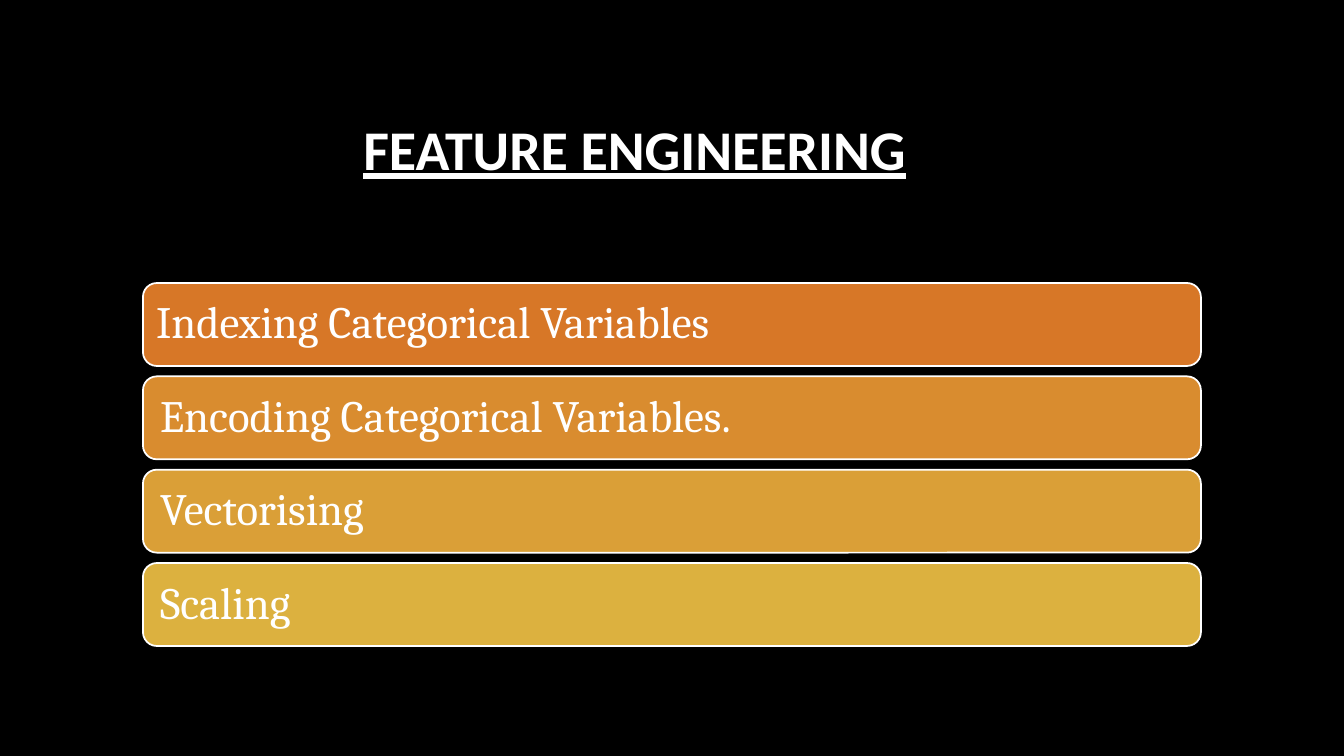
from pptx import Presentation
from pptx.dml.color import RGBColor
from pptx.enum.shapes import MSO_SHAPE as Shape
from pptx.enum.text import MSO_ANCHOR as Anchor, PP_ALIGN as Align
from pptx.util import Pt

# Content: each step has its label, fill and left text inset
TITLE = "FEATURE ENGINEERING"
STEPS = [
    ("Indexing Categorical Variables", "D77727", 9),
    ("Encoding Categorical Variables.", "D98C2F", 13),
    ("Vectorising", "DA9F37", 13),
    ("Scaling", "DCB13F", 13),
]

THEME = {
    "background": "000000", "ink": "FFFFFF",
    "title_font": "Calibri", "title_size": 40,
    "step_font": "Cambria", "step_size": 32, "outline": 1.25,
}

# Layout in pixels
SLIDE_W, SLIDE_H = 1344, 756
TITLE_BOX = (76, 68, 1117, 160)
STEP_LEFT, STEP_W, STEP_H = 143, 1058, 83
FIRST_TOP, LAST_TOP = 283, 563
STEP_PITCH = (LAST_TOP - FIRST_TOP) / (len(STEPS) - 1)
CORNER = 0.167


def px(value):
    return round(value * 914400 / 100.8)


def color(hex_code):
    return RGBColor.from_string(hex_code)


def write(frame, text, role, align, insets):
    frame.word_wrap = True
    frame.vertical_anchor = Anchor.MIDDLE
    (frame.margin_left, frame.margin_top,
     frame.margin_right, frame.margin_bottom) = map(px, insets)
    line = frame.paragraphs[0]
    line.alignment = align
    run = line.add_run()
    run.text = text
    run.font.name = THEME[role + "_font"]
    run.font.size = Pt(THEME[role + "_size"])
    run.font.color.rgb = color(THEME["ink"])
    return line, run


deck = Presentation()
deck.slide_width, deck.slide_height = px(SLIDE_W), px(SLIDE_H)
slide = deck.slides.add_slide(deck.slide_layouts[6])
slide.background.fill.solid()
slide.background.fill.fore_color.rgb = color(THEME["background"])

# Title
heading = slide.shapes.add_textbox(*map(px, TITLE_BOX))
_, heading_run = write(heading.text_frame, TITLE, "title", Align.CENTER, (10, 5, 10, 5))
heading_run.font.bold = True
heading_run.font.underline = True

# Step bars
for index, (label, fill, inset) in enumerate(STEPS):
    top = FIRST_TOP + index * STEP_PITCH
    bar = slide.shapes.add_shape(
        Shape.ROUNDED_RECTANGLE, *map(px, (STEP_LEFT, top, STEP_W, STEP_H)))
    bar.adjustments[0] = CORNER
    bar.shadow.inherit = False
    bar.fill.solid()
    bar.fill.fore_color.rgb = color(fill)
    bar.line.color.rgb = color(THEME["ink"])
    bar.line.width = Pt(THEME["outline"])
    step_line, _ = write(bar.text_frame, label, "step", Align.LEFT, (inset, 13, 13, 13))
    step_line.line_spacing = 0.9

deck.save("out.pptx")
